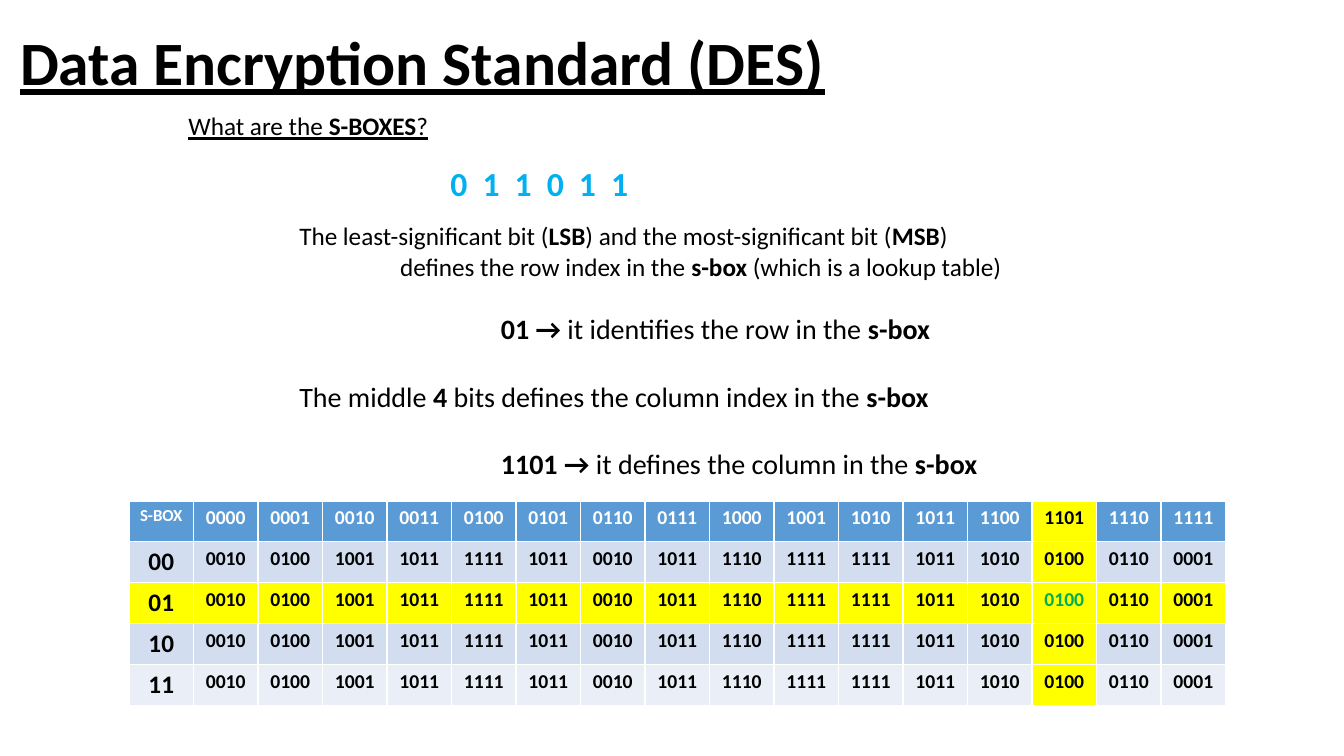
from pptx import Presentation
from pptx.dml.color import RGBColor as RGB
from pptx.enum.text import MSO_ANCHOR as Anchor, PP_ALIGN as Align
from pptx.util import Inches, Pt

COLORS = {"black": "000000", "white": "FFFFFF", "bits": "00B0F0", "header": "5B9BD5",
          "band": "D2DEEF", "light": "EAEFF7", "mark": "FFFF00", "result": "00B050"}

prs = Presentation()
prs.slide_width, prs.slide_height = Inches(13.33), Inches(7.5)
COL, ROW = prs.slide_width / 100, prs.slide_height / 100
s = prs.slides.add_slide(prs.slide_layouts[5])


def grid(left, top, width, height):
    return [round(n * unit) for n, unit in zip((left, top, width, height), (COL, ROW) * 2)]


def write(p, text, size, color="black", bold=False, underline=False):
    p.font.name, p.font.size = "Calibri", Pt(size)
    p.font.color.rgb = RGB.from_string(COLORS[color])
    p.font.underline = underline
    p.font.bold = bold
    for i, part in enumerate(text.split("*")):
        r = p.add_run()
        r.text = part
        if i % 2:
            r.font.bold = True


title = s.shapes.title
title.left, title.top, title.width, title.height = grid(0.75, -0.93, 86.27, 19.33)
title.text_frame.vertical_anchor = Anchor.MIDDLE
p = title.text_frame.paragraphs[0]
p.alignment, p.line_spacing = Align.LEFT, 0.9
write(p, "Data Encryption Standard (DES)", 44, bold=True, underline=True)

question = s.shapes.add_textbox(*grid(13.28, 14, 19.58, 9.47)).text_frame
question.word_wrap = True
write(question.paragraphs[0], "What are the *S-BOXES*?", 18, underline=True)

bits = s.shapes.add_textbox(*grid(32.78, 20.93, 14.85, 6.67)).text_frame
bits.word_wrap = True
write(bits.paragraphs[0], "0 1 1 0 1 1", 24, "bits", bold=True)
bits.paragraphs[0].runs[0].font._element.set("spc", "270")

NOTES = [
    ("The least-significant bit (*LSB*) and the most-significant bit (*MSB*)", 18, 0, 0),
    ("defines the row index in the *s-box* (which is a lookup table)", 18, 1, 0),
    ("*01 → *it identifies the row in the *s-box*", 20, 2, 22),
    ("The middle *4* bits defines the column index in the *s-box*", 20, 0, 24),
    ("*1101 → *it defines the column in the *s-box*", 20, 2, 24),
]
notes = s.shapes.add_textbox(*grid(21.53, 28.53, 54.31, 35.87)).text_frame
notes.word_wrap = True
for i, (text, size, indent, gap) in enumerate(NOTES):
    p = notes.add_paragraph() if i else notes.paragraphs[0]
    p.space_before = Pt(gap)
    p._p.get_or_add_pPr().set("marL", str(Inches(indent)))
    write(p, text.strip("*") if text.startswith("**") else text, size)

VALUES = "0010 0100 1001 1011 1111 1011 0010 1011 1110 1111 1111 1011 1010 0100 0110 0001".split()
ROW_FILLS = ["header", "band", "mark", "band", "light"]
MARK_ROW, MARK_COL = 2, 14
rows = [["S-BOX"] + [f"{n:04b}" for n in range(16)]]
rows += [[f"{n:02b}"] + VALUES for n in range(4)]

table = s.shapes.add_table(len(rows), len(rows[0]), *grid(9.6, 66.27, 81.6, 27.07)).table
for r, row in enumerate(rows):
    for c, text in enumerate(row):
        cell = table.cell(r, c)
        cell.fill.solid()
        fill = "mark" if c == MARK_COL else ROW_FILLS[r]
        cell.fill.fore_color.rgb = RGB.from_string(COLORS[fill])
        color = "white" if fill == "header" else "black"
        if (r, c) == (MARK_ROW, MARK_COL):
            color = "result"
        size = 14 if c else 18 if r else 12
        p = cell.text_frame.paragraphs[0]
        p.alignment = Align.CENTER
        write(p, text, size, color, bold=True)

prs.save("out.pptx")
